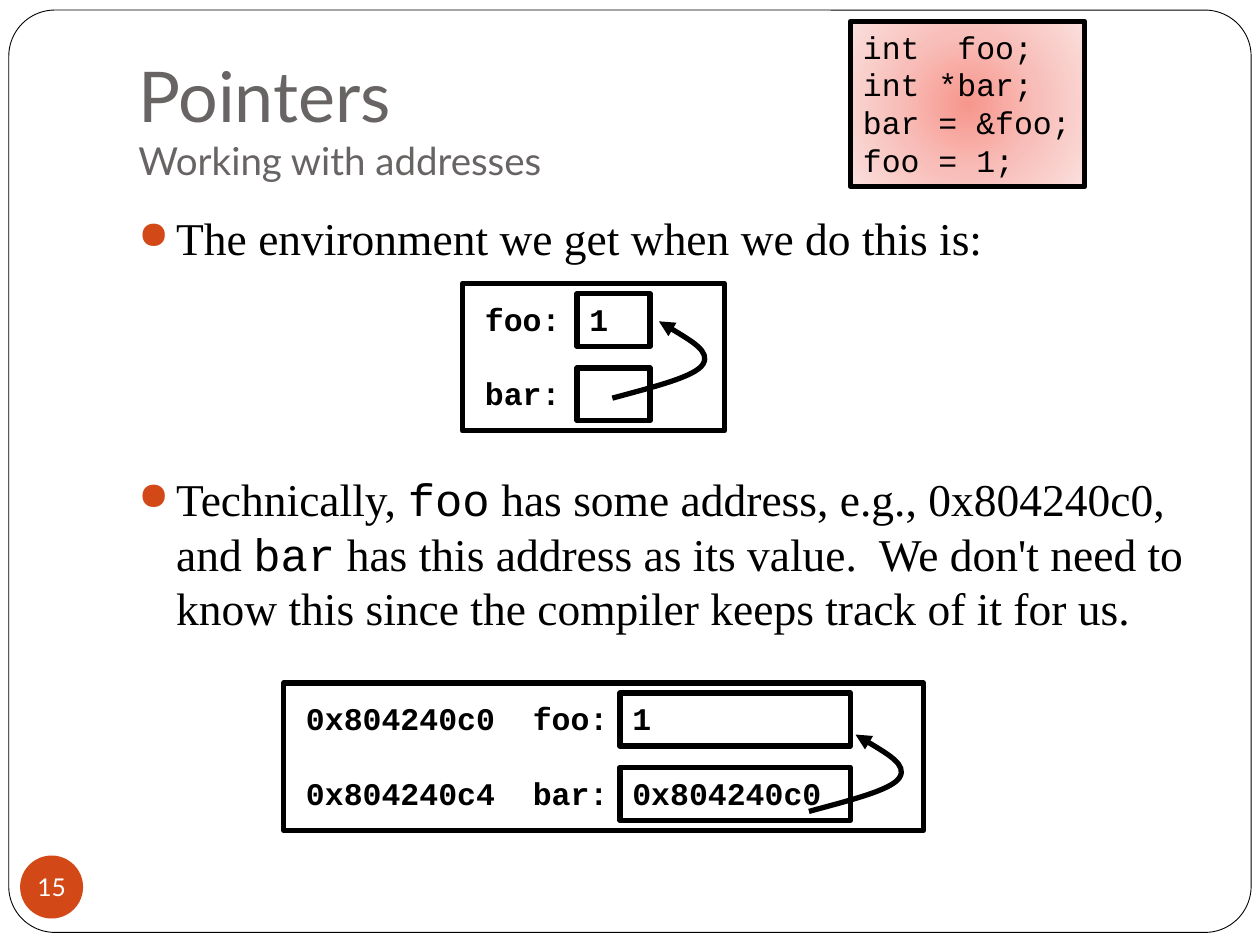
from lxml import etree
from pptx import Presentation
from pptx import util as u
from pptx.dml.color import RGBColor
from pptx.enum import shapes, text
from pptx.oxml import parse_xml
from pptx.oxml.ns import nsdecls, qn

BLACK = RGBColor(0x00, 0x00, 0x00)
WHITE = RGBColor(0xFF, 0xFF, 0xFF)
GRAY = RGBColor(0x69, 0x64, 0x64)
ORANGE = RGBColor(0xD3, 0x48, 0x17)
SERIF, SANS, MONO = "Times New Roman", "Lato", "Courier New"


def add_shape(parent, kind, box, fill=None, line_width=None):
    shape = parent.shapes.add_shape(kind, *map(u.Inches, box))
    shape.shadow.inherit = False
    if fill is None:
        shape.fill.background()
    else:
        shape.fill.solid()
        shape.fill.fore_color.rgb = fill
    if line_width is None:
        shape.line.fill.background()
    else:
        shape.line.color.rgb = BLACK
        shape.line.width = u.Pt(line_width)
    return shape


def set_text(shape, content, font, size, color, bold=False, align=text.PP_ALIGN.LEFT):
    frame = shape.text_frame
    frame.word_wrap = False
    frame.text = content
    for paragraph in frame.paragraphs:
        paragraph.alignment = align
        paragraph.font.name = font
        paragraph.font.size = u.Pt(size)
        paragraph.font.color.rgb = color
        paragraph.font.bold = bold


presentation = Presentation()
presentation.slide_width = u.Inches(10)
presentation.slide_height = u.Inches(7.5)
slide = presentation.slides.add_slide(presentation.slide_layouts[6])

RECTANGLE = shapes.MSO_SHAPE.RECTANGLE
border = add_shape(slide, shapes.MSO_SHAPE.ROUNDED_RECTANGLE, (0.07, 0.08, 9.86, 7.32), WHITE, 0.5)
border.adjustments[0] = 0.05

title = slide.shapes.add_textbox(u.Inches(1), u.Inches(0.3), u.Inches(8.5), u.Inches(1.25))
title.text_frame.word_wrap = True
title.text_frame.vertical_anchor = text.MSO_ANCHOR.BOTTOM
title.text_frame.margin_bottom = u.Inches(0.1)
paragraph = title.text_frame.paragraphs[0]
paragraph.font.name = SANS
paragraph.font.color.rgb = GRAY
run = paragraph.add_run()
run.text = "Pointers"
run.font.size = u.Pt(40)
paragraph.add_line_break()
run = paragraph.add_run()
run.text = "Working with addresses"
run.font.size = u.Pt(22)

bullets = [
    [("The environment we get when we do this is:", SERIF)],
    [
        ("Technically, ", SERIF),
        ("foo", MONO),
        (" has some address, e.g., 0x804240c0, and ", SERIF),
        ("bar", MONO),
        (" has this address as its value.  We don't need to know this "
         "since the compiler keeps track of it for us.", SERIF),
    ],
]
body = slide.shapes.add_textbox(u.Inches(1), u.Inches(1.62), u.Inches(8.5), u.Inches(5.46))
body.text_frame.word_wrap = True
for index, runs in enumerate(bullets):
    paragraph = body.text_frame.add_paragraph() if index else body.text_frame.paragraphs[0]
    properties = paragraph._p.get_or_add_pPr()
    properties.set("marL", str(u.Inches(0.3)))
    properties.set("indent", str(u.Inches(-0.3)))
    color = etree.SubElement(properties, qn("a:buClr"))
    etree.SubElement(color, qn("a:srgbClr"), val=str(ORANGE))
    etree.SubElement(properties, qn("a:buSzPct"), val="85000")
    etree.SubElement(properties, qn("a:buChar"), char="●")
    if index:
        paragraph.space_before = u.Pt(118)
    paragraph.font.size = u.Pt(26)
    paragraph.font.color.rgb = BLACK
    for content, font in runs:
        run = paragraph.add_run()
        run.text = content
        run.font.name = font

code = add_shape(slide, RECTANGLE, (6.75, 0.17, 1.86, 1.31), WHITE, 3)
stops = "".join(
    f'<a:gs pos="{position}000"><a:srgbClr val="{value}"/></a:gs>'
    for position, value in [(0, "F7968C"), (50, "F8BFBA"), (100, "FBE0DE")]
)
gradient = parse_xml(
    f'<a:gradFill {nsdecls("a")} rotWithShape="1"><a:gsLst>{stops}</a:gsLst><a:path path="circle">'
    '<a:fillToRect l="50000" t="50000" r="50000" b="50000"/></a:path></a:gradFill>'
)
solid = code.element.spPr.find(qn("a:solidFill"))
solid.getparent().replace(solid, gradient)
code.text_frame.vertical_anchor = text.MSO_ANCHOR.TOP
set_text(code, "int  foo;\nint *bar;\nbar = &foo;\nfoo = 1;", MONO, 18, BLACK)

environments = [
    ((3.67, 2.25, 2.08), (4.58, 0.58), 0.81, (4.86, 3.16), [("foo:", "1"), ("bar:", "")]),
    ((2.25, 5.42, 5.08), (4.92, 1.83), 2.61, (6.42, 6.44),
     [("0x804240c0  foo:", "1"), ("0x804240c4  bar:", "0x804240c0")]),
]
curve = [(0.33, -0.09), (0.66, -0.17), (0.72, -0.27), (0.78, -0.37), (0.57, -0.49), (0.37, -0.61)]
for (left, top, width), (cell_left, cell_width), label_width, (x, y), variables in environments:
    group = slide.shapes.add_group_shape()
    add_shape(group, RECTANGLE, (left, top, width, 1.17), line_width=3)
    for row, (label, value) in enumerate(variables):
        row_top = top + 0.08 + row * 0.59
        add_shape(group, RECTANGLE, (cell_left, row_top, cell_width, 0.42), line_width=3)
        value_width = 0.35 if len(value) == 1 else 1.75
        for content, text_left, text_width in [
            (label, left + 0.08, label_width),
            (value, cell_left, value_width),
        ]:
            if content:
                box = group.shapes.add_textbox(*map(u.Inches, (text_left, row_top, text_width, 0.4)))
                set_text(box, content, MONO, 18, BLACK, bold=True)

    builder = group.shapes.build_freeform(u.Inches(x), u.Inches(y))
    builder.add_line_segments([(u.Inches(x + dx), u.Inches(y + dy)) for dx, dy in curve], close=False)
    arrow = builder.convert_to_shape()
    arrow.shadow.inherit = False
    arrow.fill.background()
    arrow.line.color.rgb = BLACK
    arrow.line.width = u.Pt(3)
    etree.SubElement(arrow.line._get_or_add_ln(), qn("a:tailEnd"), type="triangle")
    segments = list(arrow.element.spPr.iter(qn("a:lnTo")))
    for start in range(0, len(segments), 3):
        bezier = etree.SubElement(segments[start].getparent(), qn("a:cubicBezTo"))
        for segment in segments[start:start + 3]:
            bezier.append(segment[0])
            segment.getparent().remove(segment)

badge = add_shape(slide, shapes.MSO_SHAPE.OVAL, (0.16, 6.79, 0.5, 0.5), ORANGE)
frame = badge.text_frame
frame.margin_left = frame.margin_right = frame.margin_top = frame.margin_bottom = 0
set_text(badge, "15", SANS, 14, WHITE, align=text.PP_ALIGN.CENTER)

presentation.save("out.pptx")
